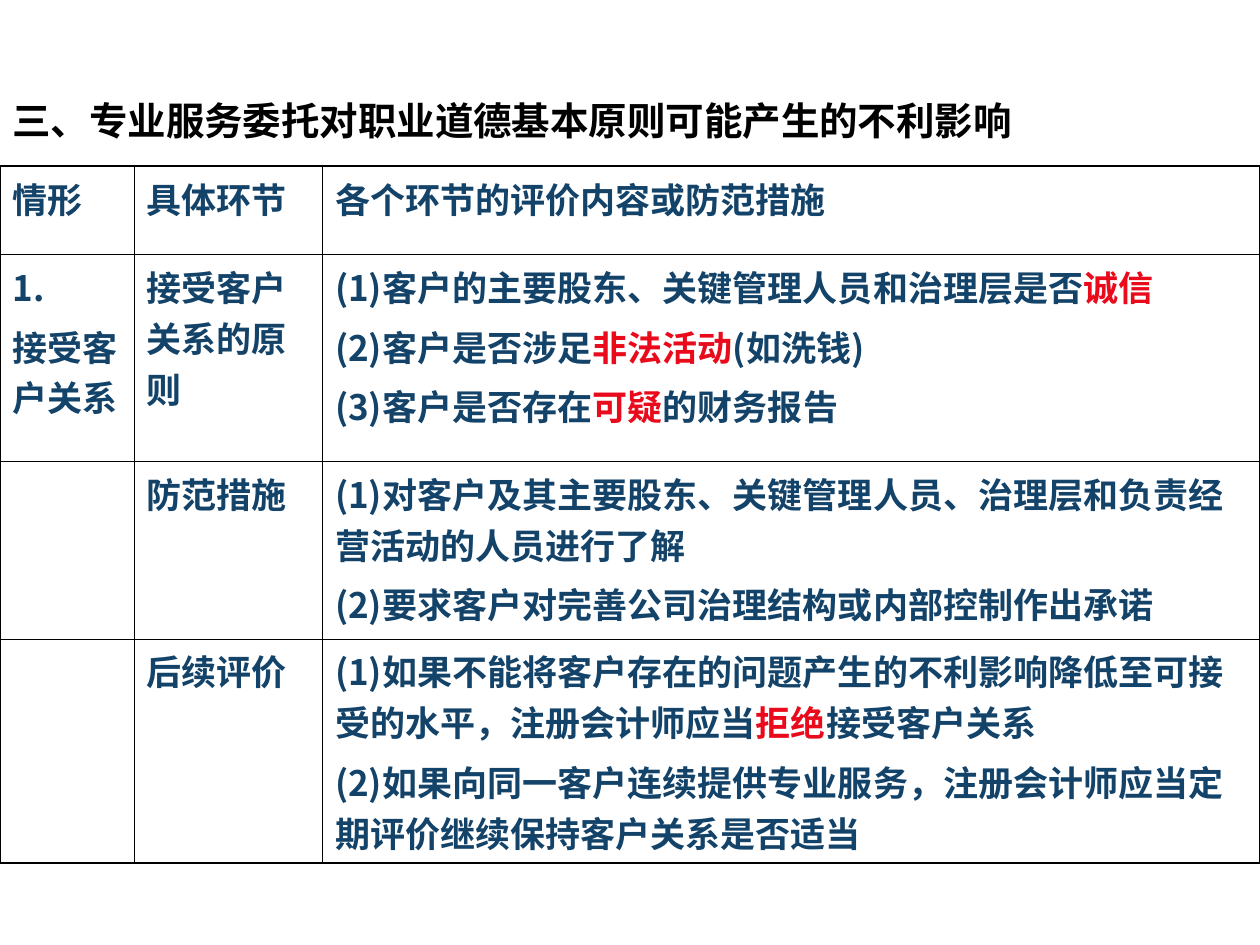
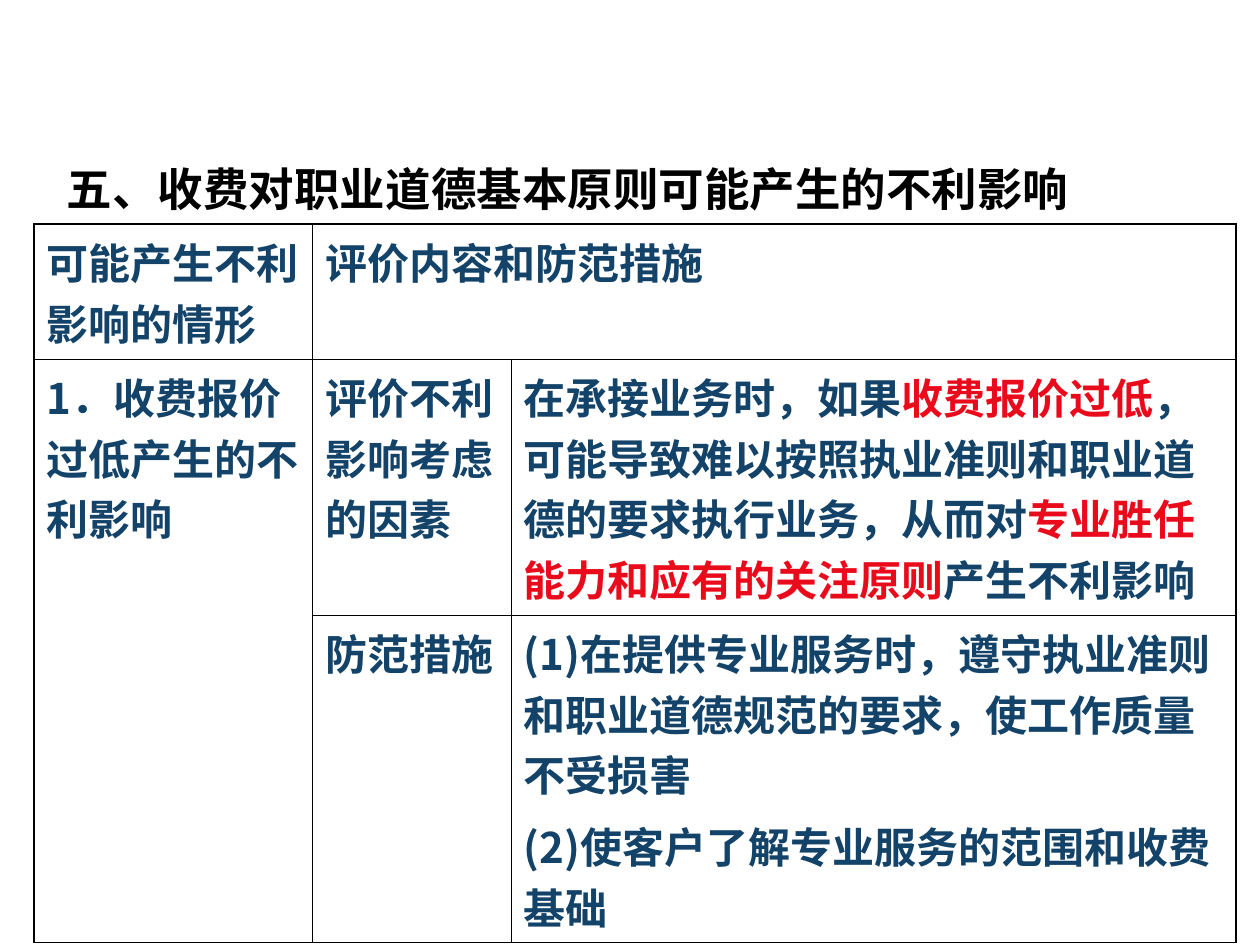
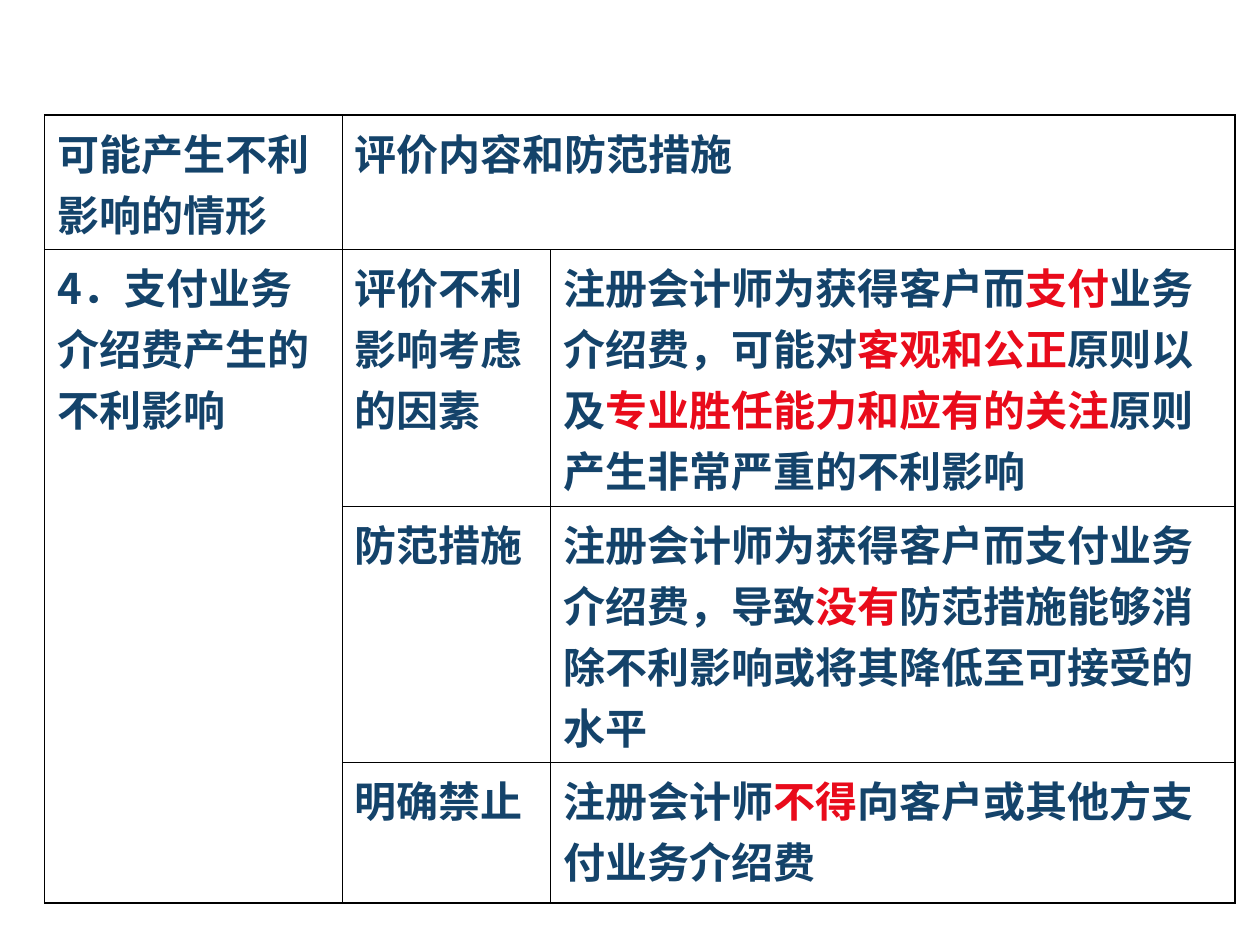
import pptx
import pptx.dml.color
import pptx.enum.lang
import pptx.enum.text
import pptx.oxml
import pptx.oxml.ns
import pptx.util
import lxml.etree

Cm = pptx.util.Cm
Pt = pptx.util.Pt

# Shared look
FONT = "Noto Sans CJK SC"
BLACK, NAVY, RED = "000000", "14436A", "E90B1B"
OUTER, INNER = 1.08, 0.45
TEXT_FORMAT = {
    "name": FONT,
    "bold": True,
    "language_id": pptx.enum.lang.MSO_LANGUAGE_ID.SIMPLIFIED_CHINESE,
}


def rgb(value):
    return pptx.dml.color.RGBColor.from_string(value)


def write(tf, text, size, color, space=0):
    """Fill a text frame; newlines part paragraphs, asterisks enclose red words."""
    for i, line in enumerate(text.split("\n")):
        p = tf.paragraphs[0] if i == 0 else tf.add_paragraph()
        if i:
            p.space_before = Pt(space)
        for j, part in enumerate(line.split("*")):
            if not part:
                continue
            r = p.add_run()
            r.text = part
            for key, value in {**TEXT_FORMAT, "size": Pt(size)}.items():
                setattr(r.font, key, value)
            r.font.color.rgb = rgb(RED if j % 2 else color)
            ea = lxml.etree.SubElement(r.font._element, pptx.oxml.ns.qn("a:ea"))
            ea.set("typeface", FONT)


# Content: lengths in cm, text sizes in points
SLIDES = [
    {
        "title": "三、专业服务委托对职业道德基本原则可能产生的不利影响",
        "title_box": (0, 1.32, 25.1, 1.6), "title_size": 22, "title_inset": 0.63,
        "left": 0, "top": 3.35, "size": 20, "space": 5,
        "cols": [2.7, 3.8, 18.9],
        "rows": [1.78, 4.17, 3.58, 4.52],
        "merges": [],
        "cells": [
            ["情形", "具体环节", "各个环节的评价内容或防范措施"],
            ["1.\n接受客户关系", "接受客户关系的原则",
             "(1)客户的主要股东、关键管理人员和治理层是否*诚信*\n"
             "(2)客户是否涉足*非法活动*(如洗钱)\n"
             "(3)客户是否存在*可疑*的财务报告"],
            ["", "防范措施",
             "(1)对客户及其主要股东、关键管理人员、治理层和负责经营活动的人员进行了解\n"
             "(2)要求客户对完善公司治理结构或内部控制作出承诺"],
            ["", "后续评价",
             "(1)如果不能将客户存在的问题产生的不利影响降低至可接受的水平，"
             "注册会计师应当*拒绝*接受客户关系\n"
             "(2)如果向同一客户连续提供专业服务，"
             "注册会计师应当定期评价继续保持客户关系是否适当"],
        ],
    },
    {
        "title": "五、收费对职业道德基本原则可能产生的不利影响",
        "title_box": (1.1, 2.72, 22.86, 1.57), "title_size": 26, "title_inset": 0.53,
        "left": 0.69, "top": 4.52, "size": 24, "space": 6,
        "cols": [5.61, 4.0, 14.61],
        "rows": [2.72, 5.16, 6.6],
        "merges": [((0, 1), (0, 2)), ((1, 0), (2, 0))],
        "cells": [
            ["可能产生不利影响的情形", "评价内容和防范措施", ""],
            ["1．收费报价过低产生的不利影响", "评价不利影响考虑的因素",
             "在承接业务时，如果*收费报价过低*，可能导致难以按照执业准则和职业道德的"
             "要求执行业务，从而对*专业胜任能力和应有的关注原则*产生不利影响"],
            ["", "防范措施",
             "(1)在提供专业服务时，遵守执业准则和职业道德规范的要求，使工作质量不受损害\n"
             "(2)使客户了解专业服务的范围和收费基础"],
        ],
    },
    {
        "left": 0.9, "top": 2.32, "size": 24, "space": 6,
        "cols": [6.0, 4.2, 13.8],
        "rows": [2.71, 5.18, 5.16, 2.84],
        "merges": [((0, 1), (0, 2)), ((1, 0), (3, 0))],
        "cells": [
            ["可能产生不利影响的情形", "评价内容和防范措施", ""],
            ["4．支付业务介绍费产生的不利影响", "评价不利影响考虑的因素",
             "注册会计师为获得客户而*支付*业务介绍费，可能对*客观和公正*原则以及"
             "*专业胜任能力和应有的关注*原则产生非常严重的不利影响"],
            ["", "防范措施",
             "注册会计师为获得客户而支付业务介绍费，导致*没有*防范措施能够消除"
             "不利影响或将其降低至可接受的水平"],
            ["", "明确禁止", "注册会计师*不得*向客户或其他方支付业务介绍费"],
        ],
    },
]

prs = pptx.Presentation()
prs.slide_width, prs.slide_height = Cm(25.4), Cm(19.05)

for item in SLIDES:
    s = prs.slides.add_slide(prs.slide_layouts[6])

    # Title
    if "title" in item:
        sp = s.shapes.add_textbox(*map(Cm, item["title_box"]))
        tf = sp.text_frame
        tf.word_wrap = True
        tf.vertical_anchor = pptx.enum.text.MSO_ANCHOR.TOP
        tf.margin_top = Cm(item["title_inset"])
        write(tf, item["title"], item["title_size"], BLACK)

    # Table grid
    cols, rows = item["cols"], item["rows"]
    table = s.shapes.add_table(
        len(rows), len(cols), Cm(item["left"]), Cm(item["top"]),
        Cm(sum(cols)), Cm(sum(rows))).table
    table.first_row = table.horz_banding = False
    for column, width in zip(table.columns, cols):
        column.width = Cm(width)
    for row, height in zip(table.rows, rows):
        row.height = Cm(height)
    for (r1, c1), (r2, c2) in item["merges"]:
        table.cell(r1, c1).merge(table.cell(r2, c2))

    # Cell text, and borders that are heavier around the outside
    for y, texts in enumerate(item["cells"]):
        for x, text in enumerate(texts):
            cell = table.cell(y, x)
            write(cell.text_frame, text, item["size"], NAVY, item["space"])
            height = cell.span_height if cell.is_merge_origin else 1
            width = cell.span_width if cell.is_merge_origin else 1
            edges = {"L": x == 0, "R": x + width == len(cols),
                     "T": y == 0, "B": y + height == len(rows)}
            tcPr = cell._tc.get_or_add_tcPr()
            for side, is_outer in edges.items():
                weight = Pt(OUTER if is_outer else INNER)
                tcPr.append(pptx.oxml.parse_xml(
                    f'<a:ln{side} {pptx.oxml.ns.nsdecls("a")} w="{weight}">'
                    f'<a:solidFill><a:srgbClr val="{BLACK}"/></a:solidFill>'
                    f'</a:ln{side}>'))
            cell.fill.background()

prs.save("out.pptx")
